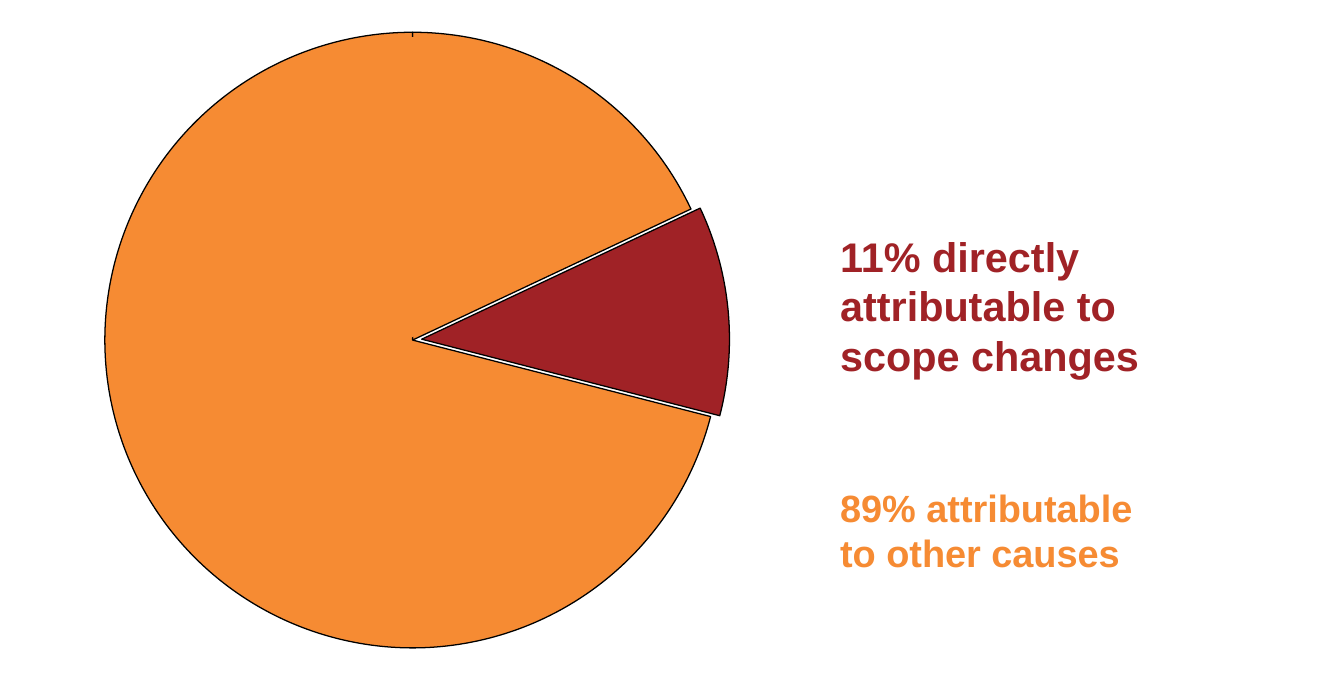
from pptx import Presentation
from pptx.chart.data import CategoryChartData
from pptx.dml.color import RGBColor
from pptx.enum.chart import XL_CHART_TYPE
from pptx.enum.shapes import MSO_CONNECTOR, MSO_SHAPE
from pptx.enum.text import MSO_AUTO_SIZE
from pptx.oxml import parse_xml
from pptx.oxml.ns import nsdecls, qn
from pptx.util import Inches, Pt

ORANGE = RGBColor(0xF6, 0x8B, 0x33)
RED = RGBColor(0xA0, 0x22, 0x26)
BLACK = RGBColor(0, 0, 0)


def apply_format(target, values):
    for name, value in values.items():
        setattr(target, name, value)


class CausesSlide:
    font_name = "Arial"
    outline = Pt(0.75)

    def __init__(self, presentation):
        self.slide = presentation.slides.add_slide(presentation.slide_layouts[6])

    def paint(self, part, fill, line):
        part.fill.solid()
        part.fill.fore_color.rgb = fill
        part.line.color.rgb = line
        part.line.width = self.outline

    def label(self, wording, box, size, color):
        caption = self.slide.shapes.add_textbox(*map(Inches, box))
        frame = caption.text_frame
        apply_format(frame, {
            "word_wrap": True, "auto_size": MSO_AUTO_SIZE.SHAPE_TO_FIT_TEXT,
            "margin_left": 0, "margin_top": 0, "margin_right": 0, "margin_bottom": 0,
        })
        run = frame.paragraphs[0].add_run()
        run.text = wording
        apply_format(run.font, {"name": self.font_name, "size": Pt(size), "bold": True})
        run.font.color.rgb = color

    def pie(self, box, shares, colors, exploded, explosion, diameter):
        data = CategoryChartData()
        data.categories = [str(number + 1) for number in range(len(shares))]
        data.add_series("Series 1", shares)
        chart = self.slide.shapes.add_chart(
            XL_CHART_TYPE.PIE, *map(Inches, box), data).chart
        apply_format(chart, {"has_legend": False, "has_title": False})
        apply_format(chart.font, {"name": self.font_name, "size": Pt(18)})
        chart.font.color.rgb = BLACK
        plot = chart.plots[0]
        apply_format(plot, {"vary_by_categories": True, "has_data_labels": False})
        causes = plot.series[0]
        for index, color in enumerate(colors):
            self.paint(causes.points[index].format, color, BLACK)
        slice_xml = causes._element.findall(qn("c:dPt"))[exploded]
        slice_xml.find(qn("c:spPr")).addprevious(
            parse_xml(f'<c:explosion {nsdecls("c")} val="{explosion}"/>'))
        self.fit_plot(chart, box[2:], diameter)

    def fit_plot(self, chart, frame_size, diameter):
        width, height = (diameter / length for length in frame_size)
        area = chart._chartSpace.find(qn("c:chart")).find(qn("c:plotArea"))
        for layout in area.findall(qn("c:layout")):
            area.remove(layout)
        settings = {
            "layoutTarget": "inner", "xMode": "edge", "yMode": "edge",
            "x": (1 - width) / 2, "y": (1 - height) / 2, "w": width, "h": height,
        }
        entries = "".join(f'<c:{name} val="{value}"/>' for name, value in settings.items())
        area.insert(0, parse_xml(
            f'<c:layout {nsdecls("c")}><c:manualLayout>{entries}</c:manualLayout></c:layout>'))

    def seam(self, start, end, color, width):
        cover = self.slide.shapes.add_connector(
            MSO_CONNECTOR.STRAIGHT, *map(Inches, start + end))
        cover.line.color.rgb = color
        cover.line.width = Pt(width)
        cover._element.spPr.append(parse_xml(f'<a:effectLst {nsdecls("a")}/>'))

    def triangle(self, box, rotation, color):
        patch = self.slide.shapes.add_shape(
            MSO_SHAPE.ISOSCELES_TRIANGLE, *map(Inches, box))
        patch.rotation = rotation
        patch.shadow.inherit = False
        self.paint(patch, color, color)


def main():
    presentation = Presentation()
    apply_format(presentation, {"slide_width": Inches(10.83), "slide_height": Inches(5.51)})
    causes = CausesSlide(presentation)
    causes.label("11% directly attributable to scope changes", (6.77, 1.86, 3.05, 1.21), 24, RED)
    causes.label("89% attributable to other causes", (6.77, 3.9, 2.68, 0.74), 22, ORANGE)
    causes.pie((0.61, 0.12, 5.43, 5.24), (18, 11, 71), (ORANGE, RED, ORANGE),
               exploded=1, explosion=3, diameter=4.96)
    causes.seam((3.32, 0.3), (3.32, 2.66), ORANGE, 6)
    causes.triangle((3.19, 2.27, 0.44, 0.38), 335, ORANGE)
    presentation.save("out.pptx")


if __name__ == "__main__":
    main()
